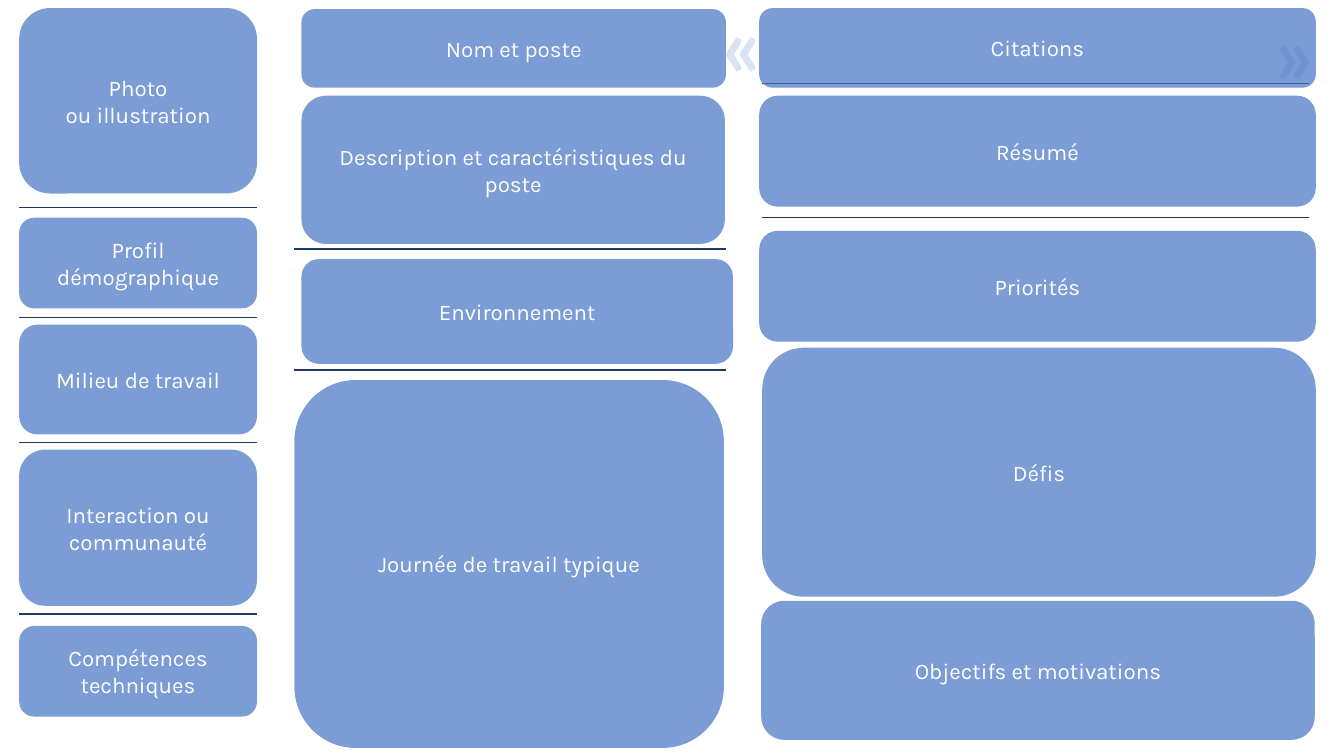
from lxml.etree import SubElement
from pptx import Presentation
from pptx.dml.color import RGBColor
from pptx.enum.shapes import MSO_CONNECTOR, MSO_SHAPE
from pptx.enum.text import MSO_ANCHOR, PP_ALIGN
from pptx.oxml.ns import qn
from pptx.util import Inches, Pt

COLORS = {"card": "4472C4", "rule": "203864", "quote": "DAE3F3", "label": "FFFFFF"}
CARD_OPACITY = 70


def color(name):
    """Return the palette colour called name."""
    return RGBColor.from_string(COLORS[name])


def style_run(run, font, size, color_name, bold=False):
    """Set font, size, colour and weight of a run."""
    run.font.name = font
    run.font.size = Pt(size)
    run.font.bold = bold
    run.font.color.rgb = color(color_name)


def add_rule(slide, left, top, width):
    """Draw a thin horizontal separator."""
    rule = slide.shapes.add_connector(
        MSO_CONNECTOR.STRAIGHT,
        Inches(left), Inches(top), Inches(left + width), Inches(top))
    rule.line.color.rgb = color("rule")
    rule.line.width = Pt(1)
    SubElement(rule._element.spPr, qn("a:effectLst"))


def add_quote_mark(slide, left, top, mark):
    """Place a large pale quotation mark."""
    quote = slide.shapes.add_textbox(
        Inches(left), Inches(top), Inches(0.43), Inches(0.59))
    quote.text_frame.word_wrap = True
    quote.text_frame.text = mark
    style_run(quote.text_frame.paragraphs[0].runs[0], "Lato", 60, "quote", True)


def add_card(slide, left, top, width, height, label):
    """Draw a translucent rounded card with a centred label."""
    card = slide.shapes.add_shape(
        MSO_SHAPE.ROUNDED_RECTANGLE,
        Inches(left), Inches(top), Inches(width), Inches(height))
    card.shadow.inherit = False
    card.line.fill.background()
    card.fill.solid()
    card.fill.fore_color.rgb = color("card")
    fill_color = card._element.spPr.find(qn("a:solidFill"))[0]
    SubElement(fill_color, qn("a:alpha"), val=str(CARD_OPACITY * 1000))
    frame = card.text_frame
    frame.word_wrap = True
    frame.vertical_anchor = MSO_ANCHOR.MIDDLE
    paragraph = frame.paragraphs[0]
    paragraph.text = label
    paragraph.alignment = PP_ALIGN.CENTER
    for run in paragraph.runs:
        style_run(run, "Karla", 16, "label")


def add_profile_column(slide, left, top, width):
    """Build the portrait and profile cards with full-width separators."""
    for offset in (1.98, 3.07, 4.31, 6.01):
        add_rule(slide, left, top + offset, width)
    for label, offset, height in (
            ("Photo\nou illustration", 0, 1.84),
            ("Profil démographique", 2.08, 0.9),
            ("Milieu de travail", 3.14, 1.09),
            ("Interaction ou communauté", 4.38, 1.55),
            ("Compétences techniques", 6.13, 0.9)):
        add_card(slide, left, top + offset, width, height, label)


def add_job_column(slide, left, top, width):
    """Build the cards on the position and the working day."""
    for offset in (2.38, 3.58):
        add_rule(slide, left, top + offset, width)
    for label, indent, offset, card_width, height in (
            ("Nom et poste", 0.07, 0, width - 0.07, 0.78),
            ("Description et caractéristiques du poste", 0.07, 0.86, width - 0.08, 1.47),
            ("Environnement", 0.07, 2.48, width, 1.04),
            ("Journée de travail typique", 0, 3.68, width - 0.02, 3.65)):
        add_card(slide, left + indent, top + offset, card_width, height, label)


def add_goals_column(slide, left, top, width):
    """Build the quotation, summary, challenge and goal cards."""
    add_quote_mark(slide, left - 0.46, top - 0.19, "«")
    add_quote_mark(slide, left + width - 0.5, top - 0.11, "»")
    for offset in (0.75, 2.08):
        add_rule(slide, left + 0.03, top + offset, width - 0.1)
    for label, indent, offset, card_width, height in (
            ("Citations", 0, 0, width, 0.79),
            ("Résumé", 0, 0.87, width, 1.1),
            ("Priorités", 0, 2.21, width, 1.1),
            ("Défis", 0.03, 3.37, width - 0.03, 2.47),
            ("Objectifs et motivations", 0.02, 5.88, width - 0.03, 1.38)):
        add_card(slide, left + indent, top + offset, card_width, height, label)


def main():
    """Create the persona template slide and save it."""
    presentation = Presentation()
    presentation.slide_width = Inches(13.33)
    presentation.slide_height = Inches(7.5)
    slide = presentation.slides.add_slide(presentation.slide_layouts[6])
    add_profile_column(slide, 0.19, 0.08, 2.36)
    add_job_column(slide, 2.92, 0.09, 4.28)
    add_goals_column(slide, 7.53, 0.08, 5.52)
    presentation.save("out.pptx")


if __name__ == "__main__":
    main()
